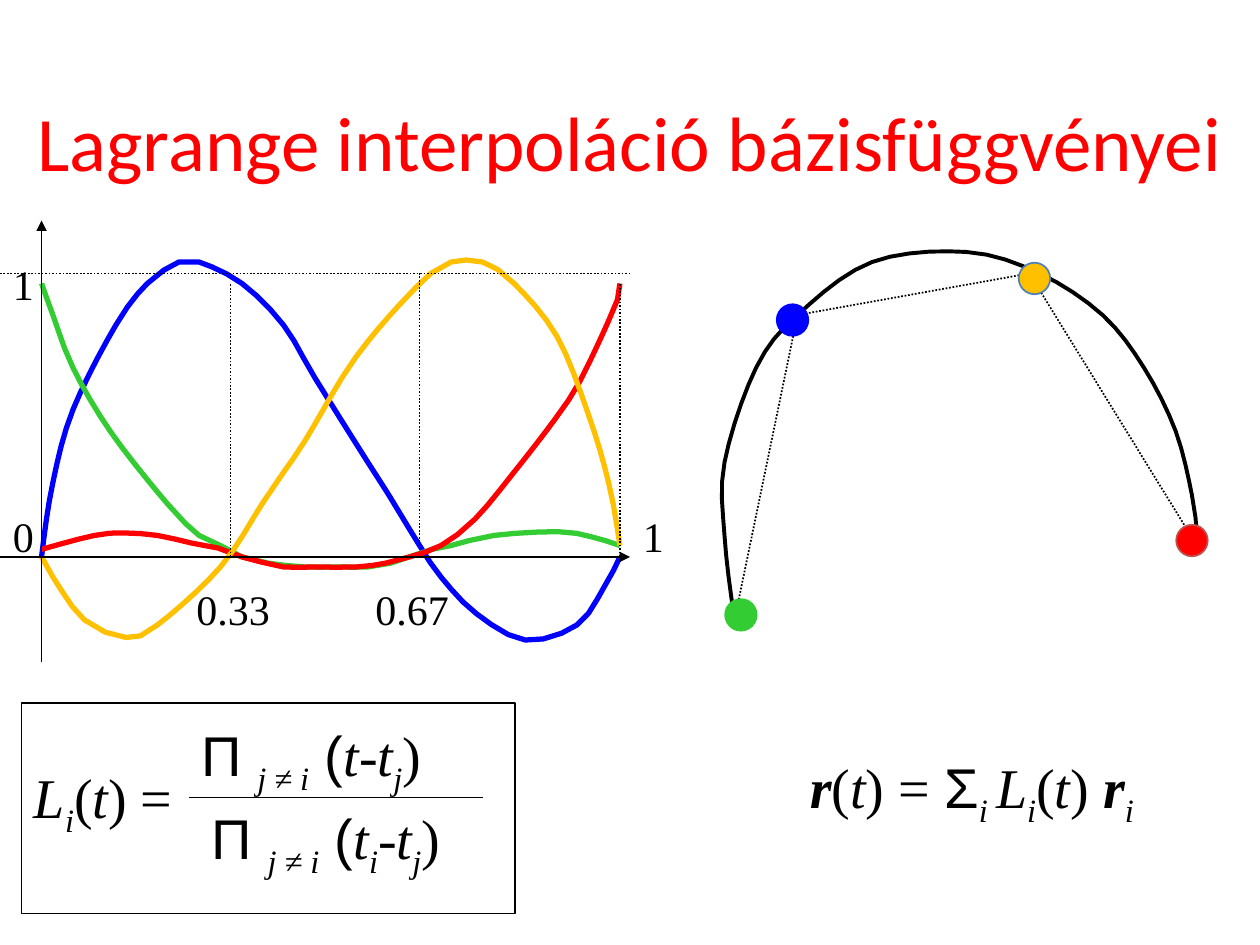
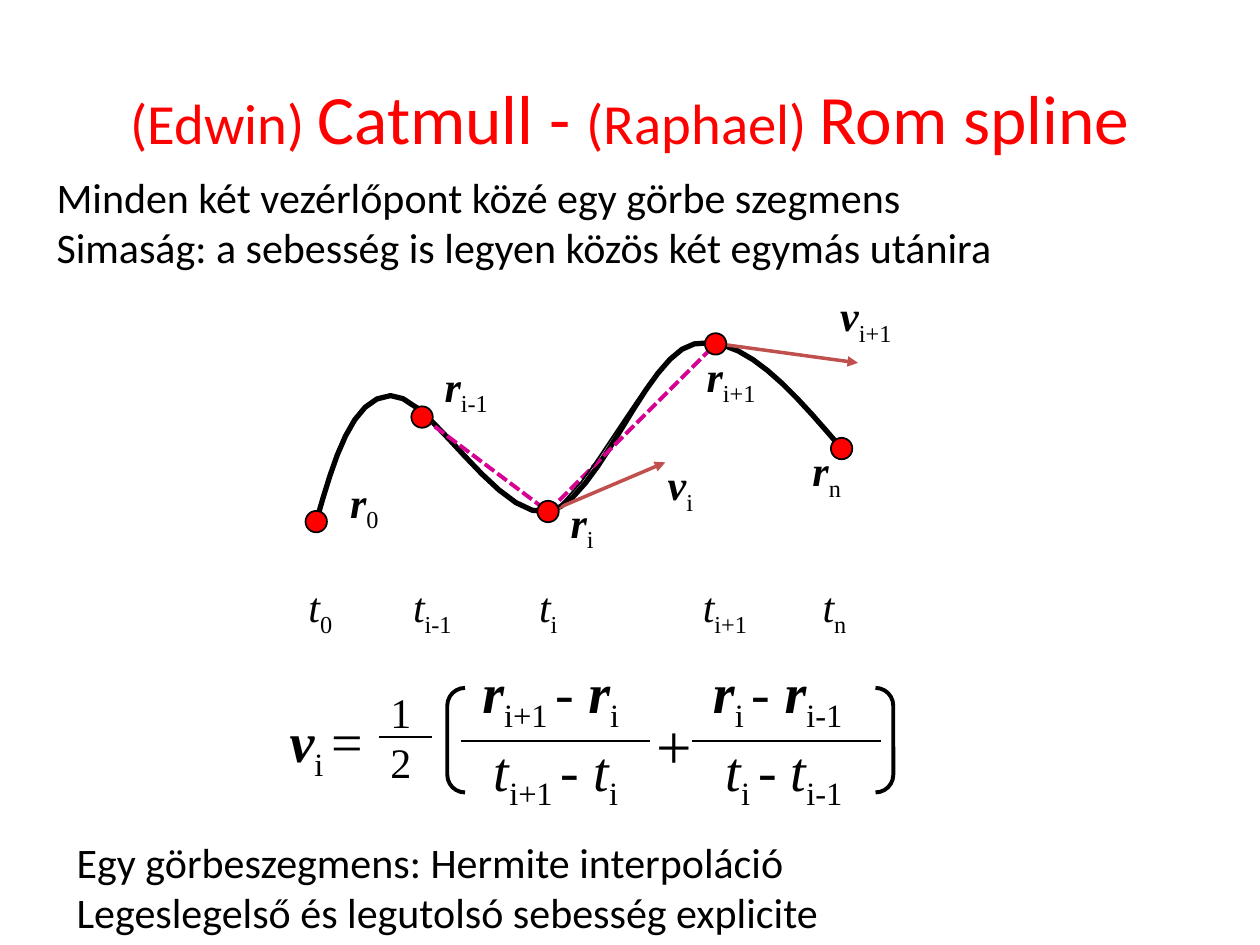
"""Builds two slides on Lagrange interpolation and the Catmull-Rom spline."""
import math

import lxml.etree
import pptx
import pptx.dml.color
import pptx.enum.dml
import pptx.enum.shapes
import pptx.enum.text
import pptx.oxml.ns
import pptx.util

RGBColor = pptx.dml.color.RGBColor
BLACK = RGBColor(0x00, 0x00, 0x00)
RED = RGBColor(0xFF, 0x00, 0x00)
BLUE = RGBColor(0x00, 0x00, 0xFF)
GREEN = RGBColor(0x33, 0xCC, 0x33)
AMBER = RGBColor(0xFF, 0xC0, 0x00)
STEEL = RGBColor(0x4F, 0x81, 0xBD)
BRICK = RGBColor(0xC0, 0x50, 0x4D)
MAGENTA = RGBColor(0xD6, 0x00, 0x93)

SERIF, SANS, HEADING = "Times New Roman", "Arial", "Calibri"
DOTTED = pptx.enum.dml.MSO_LINE.ROUND_DOT
DASHED = pptx.enum.dml.MSO_LINE.SQUARE_DOT
SHAPE = pptx.enum.shapes.MSO_SHAPE
LEFT, CENTER = pptx.enum.text.PP_ALIGN.LEFT, pptx.enum.text.PP_ALIGN.CENTER
CURVE_STEP = 0.15


def inches(value):
    return pptx.util.Cm(2.54 * value)


def apply(target, values):
    for name, value in values.items():
        setattr(target, name, value)


def smooth_points(knots):
    """Sample a cubic curve whose inner tangents follow the neighbouring knots."""
    last = len(knots) - 1
    tangents = [None] + [
        tuple((after - before) / 6 for before, after in zip(knots[i - 1], knots[i + 1]))
        for i in range(1, last)] + [None]
    points = [knots[0]]
    for i in range(last):
        start, end = knots[i], knots[i + 1]
        leave = tangents[i] and [p + d for p, d in zip(start, tangents[i])]
        arrive = tangents[i + 1] and [p - d for p, d in zip(end, tangents[i + 1])]
        leave = leave or [(p + q) / 2 for p, q in zip(start, arrive)]
        arrive = arrive or [(p + q) / 2 for p, q in zip(end, leave)]
        steps = max(1, round(math.dist(start, end) / CURVE_STEP))
        for step in range(1, steps + 1):
            t = step / steps
            u = 1 - t
            points.append(tuple(
                u ** 3 * a + 3 * u * u * t * b + 3 * u * t * t * c + t ** 3 * d
                for a, b, c, d in zip(start, leave, arrive, end)))
    return points


class SlideBuilder:
    """Holds the shared style and the current slide."""

    def __init__(self):
        self.deck = pptx.Presentation()
        apply(self.deck, {"slide_width": inches(10), "slide_height": inches(7.5)})
        self.page = None

    def new_slide(self, left, top, width, spans):
        self.page = self.deck.slides.add_slide(self.deck.slide_layouts[5])
        title = self.page.shapes.title
        apply(title, {"left": inches(left), "top": inches(top),
                      "width": inches(width), "height": inches(1.25)})
        apply(title.text_frame, {
            "word_wrap": True, "auto_size": pptx.enum.text.MSO_AUTO_SIZE.NONE,
            "vertical_anchor": pptx.enum.text.MSO_ANCHOR.MIDDLE})
        para = title.text_frame.paragraphs[0]
        para.alignment = CENTER
        for words, size in spans:
            self.span(para, words, size, "", HEADING, RED)

    def span(self, para, words, size, flags="", font=SERIF, color=BLACK):
        """Add a run; flags are b bold, i italic, s subscript, a sans."""
        run = para.add_run()
        run.text = words
        apply(run.font, {"name": SANS if "a" in flags else font,
                         "size": pptx.util.Pt(size),
                         "bold": "b" in flags, "italic": "i" in flags})
        run.font.color.rgb = color
        if "s" in flags:
            run.font._element.set("baseline", "-25000")

    def text(self, left, top, width, height, lines, size=24, font=SERIF,
             align=LEFT, wrap=False):
        """Add a text box; each line is a list of (words, flags)."""
        box = self.page.shapes.add_textbox(*map(inches, (left, top, width, height)))
        frame = box.text_frame
        apply(frame, {"word_wrap": wrap,
                      "auto_size": pptx.enum.text.MSO_AUTO_SIZE.SHAPE_TO_FIT_TEXT})
        for index, line in enumerate(lines):
            para = frame.add_paragraph() if index else frame.paragraphs[0]
            para.alignment = align
            for words, flags in line:
                self.span(para, words, size, flags, font)

    def label(self, left, top, width, words):
        self.text(left, top, width, 0.5, [[(words, "")]], align=CENTER)

    def symbol(self, left, top, width, letter, index, flags="bi"):
        self.text(left, top, width, 0.5, [[(letter, flags), (index, "s")]])

    def formula(self, left, top, width, spans, size=32):
        self.text(left, top, width, 0.63, [spans], size)

    def stroke(self, line, color, width, dash=None):
        line.color.rgb = color
        apply(line, {"width": pptx.util.Pt(width), "dash_style": dash})

    def line(self, start, end, color=BLACK, width=1, dash=None, arrow=False):
        connector = self.page.shapes.add_connector(
            pptx.enum.shapes.MSO_CONNECTOR.STRAIGHT, *map(inches, (*start, *end)))
        self.stroke(connector.line, color, width, dash)
        properties = connector._element.spPr
        qn = pptx.oxml.ns.qn
        if arrow:
            lxml.etree.SubElement(properties.find(qn("a:ln")), qn("a:tailEnd"),
                                  type="triangle")
        lxml.etree.SubElement(properties, qn("a:effectLst"))

    def shape(self, kind, left, top, width, height, fill=None, edge=BLACK, weight=1):
        shape = self.page.shapes.add_shape(
            kind, *map(inches, (left, top, width, height)))
        self.finish(shape, fill, edge, weight)
        return shape

    def finish(self, shape, fill, edge, weight, dash=None):
        shape.shadow.inherit = False
        if fill is None:
            shape.fill.background()
        else:
            shape.fill.solid()
            shape.fill.fore_color.rgb = fill
        self.stroke(shape.line, edge, weight, dash)

    def dot(self, center, diameter, fill, edge):
        left, top = (value - diameter / 2 for value in center)
        self.shape(SHAPE.OVAL, left, top, diameter, diameter, fill, edge)

    def polyline(self, points, color=BLACK, width=1, dash=None):
        points = [tuple(map(inches, point)) for point in points]
        builder = self.page.shapes.build_freeform(*points[0])
        builder.add_line_segments(points[1:], close=False)
        self.finish(builder.convert_to_shape(), None, color, width, dash)

    def curve(self, knots, color=BLACK, width=3):
        self.polyline(smooth_points(knots), color, width)


BASIS_CURVES = [
    (BLUE, [(0.33, 4.42), (0.42, 3.83), (0.58, 3.25), (0.92, 2.58), (1.17, 2.25),
            (1.42, 2.08), (1.58, 2.08), (1.92, 2.25), (2.25, 2.58), (2.5, 3),
            (2.92, 3.67), (3.08, 3.92), (3.33, 4.33), (3.5, 4.58), (3.78, 4.87),
            (4.17, 5.08), (4.58, 4.96), (4.8, 4.65), (4.92, 4.42)]),
    (GREEN, [(0.33, 2.25), (0.42, 2.5), (0.58, 2.92), (0.88, 3.43), (1.33, 4),
             (1.58, 4.25), (1.75, 4.33), (1.92, 4.42), (2.13, 4.47), (2.42, 4.5),
             (2.67, 4.5), (2.92, 4.5), (3.1, 4.47), (3.25, 4.42), (3.43, 4.36),
             (3.58, 4.33), (3.92, 4.25), (4.43, 4.22), (4.69, 4.26), (4.92, 4.33)]),
    (RED, [(0.33, 4.36), (0.75, 4.25), (0.98, 4.23), (1.25, 4.25), (1.52, 4.31),
           (1.73, 4.35), (1.92, 4.42), (2.07, 4.46), (2.25, 4.5), (2.5, 4.5),
           (2.83, 4.5), (3.06, 4.47), (3.25, 4.42), (3.5, 4.33), (3.77, 4.12),
           (4.07, 3.76), (4.41, 3.32), (4.6, 3.03), (4.82, 2.57), (4.9, 2.38),
           (4.92, 2.25)]),
    (AMBER, [(0.33, 4.42), (0.42, 4.58), (0.67, 4.92), (1, 5.06), (1.25, 4.96),
             (1.75, 4.5), (2.08, 4), (2.25, 3.75), (2.42, 3.5), (2.72, 2.99),
             (2.92, 2.71), (3.17, 2.42), (3.42, 2.17), (3.58, 2.08), (3.83, 2.08),
             (4.08, 2.25), (4.42, 2.67), (4.67, 3.29), (4.83, 3.83), (4.92, 4.33)]),
]
LAGRANGE_PATH = [(5.83, 4.92), (5.75, 4.25), (5.75, 3.67), (6, 2.92), (6.33, 2.5),
                 (6.92, 2.08), (7.67, 2), (8.25, 2.17), (8.75, 2.5), (9.08, 2.92),
                 (9.33, 3.42), (9.46, 3.93), (9.5, 4.25)]
SPLINE_KNOTS = [(2.51, 4.14), (3.1, 3.14), (4.35, 4.06), (5.51, 2.73), (6.68, 3.56)]
CONTROL_POINTS = [(2.51, 4.14), (3.35, 3.31), (4.35, 4.06), (5.68, 2.73), (6.68, 3.56)]


def lagrange_slide(slide):
    slide.new_slide(0, 0.49, 10, [("Lagrange interpoláció bázisfüggvényei", 44)])
    slide.formula(6.33, 5.92, 2.86, [
        ("r", "bi"), ("(", ""), ("t", "i"), (") = ", ""), ("Σ", "a"), ("i ", "is"),
        ("L", "i"), ("i", "is"), ("(", ""), ("t", "i"), (") ", ""),
        ("r", "bi"), ("i", "is")])
    slide.formula(0.17, 6, 1.31, [
        ("L", "i"), ("i", "is"), ("(", ""), ("t", "i"), (") =", "")])
    product = [("Π ", "a"), ("j ≠ i", "is"), (" (", "a")]
    closing = [("j", "is"), (")", "")]
    slide.formula(1.5, 5.67, 2.03, product + [("t-t", "i")] + closing)
    slide.formula(1.58, 6.33, 2.11,
                  product + [("t", "i"), ("i", "is"), ("-t", "i")] + closing)
    slide.line((1.5, 6.33), (3.83, 6.33))
    slide.shape(SHAPE.RECTANGLE, 0.17, 5.58, 3.92, 1.67)

    for color, knots in BASIS_CURVES:
        slide.curve(knots, color)
    slide.line((0.33, 5.25), (0.33, 1.75), arrow=True)
    slide.line((0, 4.42), (5, 4.42), arrow=True)
    slide.line((0, 2.17), (5, 2.17), dash=DOTTED)
    for x, bottom, top in [(1.83, 4.42, 2.25), (3.33, 4.33, 2.17), (4.92, 4.42, 2.25)]:
        slide.line((x, bottom), (x, top), dash=DOTTED)
    for left, top, width, words in [
            (0, 4, 0.37, "0"), (0, 2, 0.37, "1"), (5, 4, 0.37, "1"),
            (1.46, 4.58, 0.78, "0.33"), (2.88, 4.58, 0.78, "0.67")]:
        slide.label(left, top, width, words)

    slide.curve(LAGRANGE_PATH, width=2.25)
    slide.polyline([(5.83, 4.92), (6.33, 2.5), (8.17, 2.17), (9.5, 4.33)], dash=DOTTED)
    for center, fill, edge in [
            ((6.29, 2.54), BLUE, BLUE), ((8.21, 2.21), AMBER, STEEL),
            ((9.46, 4.29), RED, BRICK), ((5.88, 4.88), GREEN, GREEN)]:
        slide.dot(center, 0.25, fill, edge)


def catmull_rom_slide(slide):
    slide.new_slide(0.5, 0.3, 9, [("(Edwin) ", 32.4), ("Catmull - ", 39.6),
                                  ("(Raphael) ", 32.4), ("Rom spline", 39.6)])
    slide.text(0.35, 1.31, 7.71, 0.91, [
        [("Minden két vezérlőpont közé egy görbe szegmens", "")],
        [("Simaság: a sebesség is legyen közös két egymás utánira", "")]], font=HEADING)
    slide.curve(SPLINE_KNOTS)
    for left, width, index in [(2.35, 0.4, "0"), (3.18, 0.54, "i-1"), (4.18, 0.36, "i"),
                               (5.48, 0.6, "i+1"), (6.43, 0.4, "n")]:
        slide.symbol(left, 4.56, width, "t", index, "i")
    for left, top, width, letter, index in [
            (2.68, 3.73, 0.44, "r", "0"), (3.43, 2.81, 0.58, "r", "i-1"),
            (4.43, 3.89, 0.39, "r", "i"), (5.51, 2.73, 0.63, "r", "i+1"),
            (6.35, 3.48, 0.44, "r", "n"), (5.2, 3.59, 0.41, "v", "i"),
            (6.57, 2.25, 0.65, "v", "i+1")]:
        slide.symbol(left, top, width, letter, index)
    for start, end in zip(CONTROL_POINTS[1:3], CONTROL_POINTS[2:4]):
        slide.line(start, end, MAGENTA, 2.25, DASHED)

    slide.formula(2.2, 5.56, 0.8, [("v", "bi"), ("i ", "s"), ("=", "")])
    slide.text(3, 5.4, 0.37, 0.9, [[("1", "")], [("2", "")]])
    slide.line((3.01, 5.85), (3.43, 5.85))
    for left, top, width, letter, flags, first, second in [
            (3.73, 5.17, 1.32, "r", "bi", "i+1 ", "i"),
            (3.82, 5.79, 1.22, "t", "i", "i+1 ", "i"),
            (5.56, 5.17, 1.25, "r", "bi", "i ", "i-1"),
            (5.66, 5.79, 1.15, "t", "i", "i ", "i-1")]:
        slide.formula(left, top, width, [
            (letter, flags), (first, "s"), ("- ", ""), (letter, flags), (second, "s")])
    for left in (3.66, 5.49):
        slide.line((left, 5.88), (left + 1.5, 5.88))
    bracket = slide.shape(SHAPE.DOUBLE_BRACKET, 3.55, 5.46, 3.54, 0.83, weight=2.25)
    bracket.adjustments[0] = 0.17
    slide.text(5.11, 5.56, 0.49, 0.71, [[("+", "")]], 36, wrap=True)

    slide.text(0.51, 6.59, 8.82, 0.91, [
        [("Egy görbeszegmens: Hermite interpoláció", "")],
        [("Legeslegelső és legutolsó sebesség explicite", "")]], font=HEADING, wrap=True)
    for start, end in [((4.34, 4.07), (5.28, 3.67)), ((5.71, 2.73), (6.81, 2.88))]:
        slide.line(start, end, BRICK, 2, arrow=True)
    slide.curve([(4.35, 4.07), (4.61, 3.83), (5.31, 2.85), (5.72, 2.75)], width=1)
    for center in CONTROL_POINTS:
        slide.dot(center, 0.17, RED, BLACK)


def main():
    slide = SlideBuilder()
    lagrange_slide(slide)
    catmull_rom_slide(slide)
    slide.deck.save("out.pptx")


if __name__ == "__main__":
    main()
